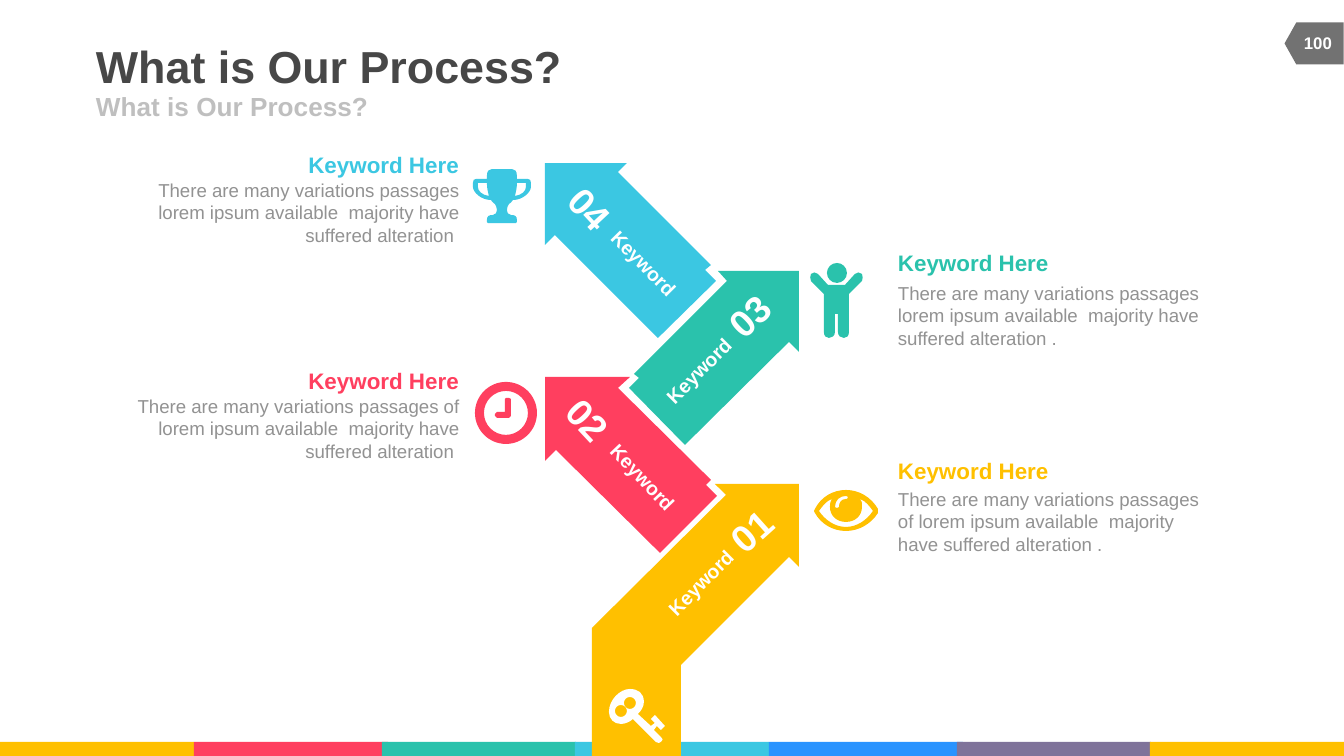
from lxml import etree
from pptx import Presentation
from pptx.dml.color import RGBColor
from pptx.enum.shapes import MSO_SHAPE
from pptx.enum.text import MSO_ANCHOR, MSO_AUTO_SIZE, PP_ALIGN
from pptx.oxml.ns import qn
from pptx.util import Pt

EMU_PER_PX = 914400 / 134.4
LEFT, CENTER, RIGHT = PP_ALIGN.LEFT, PP_ALIGN.CENTER, PP_ALIGN.RIGHT
TOP, MIDDLE, BOTTOM = MSO_ANCHOR.TOP, MSO_ANCHOR.MIDDLE, MSO_ANCHOR.BOTTOM
RECTANGLE, TAG = MSO_SHAPE.RECTANGLE, MSO_SHAPE.FLOWCHART_OFFPAGE_CONNECTOR
FIXED_SIZE = MSO_AUTO_SIZE.NONE

YELLOW, RED, GREEN, BLUE = "FFC000", "FF3F5F", "2AC2AC", "3BC7E2"
AZURE, PURPLE, WHITE, GRAY = "2993FF", "7F739A", "FFFFFF", "929292"

STRIP = [(0, YELLOW), (194, RED), (382, GREEN), (575, BLUE), (769, AZURE), (957, PURPLE), (1150, YELLOW)]

ARROWS = [
    (YELLOW, [(799, 567), (789, 557), (681, 665), (681, 756), (592, 756), (592, 628), (726, 495), (715, 484), (799, 484)]),
    (BLUE, [(618, 172), (711, 265), (705, 270), (716, 281), (658, 338), (555, 235), (545, 245), (545, 163), (627, 163)]),
    (RED, [(618, 388), (711, 480), (706, 485), (717, 496), (660, 553), (556, 450), (545, 461), (545, 377), (630, 377)]),
    (GREEN, [(799, 352), (789, 342), (685, 445), (629, 388), (639, 378), (634, 374), (727, 281), (718, 271), (799, 271)]),
]

NUMBERS = [("01", 730, 507, 318.1), ("02", 568, 396, 47), ("03", 728, 292, 316.6), ("04", 570, 185, 47)]
KEYWORDS = [(657, 359, 315), (602, 251, 45.4), (601, 465, 46.4), (659, 571, 315)]

NOTES = [
    (YELLOW, LEFT, 898, 457, 488, 316,
     "There are many variations passages of lorem ipsum available  majority have suffered alteration ."),
    (GREEN, LEFT, 898, 249, 282, 316,
     "There are many variations passages lorem ipsum available  majority have suffered alteration ."),
    (RED, RIGHT, 124, 367, 395, 335,
     "There are many variations passages of lorem ipsum available  majority have suffered alteration "),
    (BLUE, RIGHT, 150, 151, 179, 309,
     "There are many variations passages lorem ipsum available  majority have suffered alteration "),
]

KEY = [(661, 730), (657, 726), (654, 730), (661, 737), (662, 738, 665, 740, 659, 743),
       (658, 743, 657, 743, 656, 742), (633, 719), (630, 722, 625, 724, 621, 724),
       (614, 724, 609, 719, 609, 712), (609, 700, 620, 689, 630, 689),
       (638, 689, 644, 693, 644, 702), (644, 707, 641, 711, 638, 714),
       (651, 726), (655, 723), (651, 719), (655, 715), (665, 726)]
EYE_OUTLINE = [(878, 513), (871, 524, 859, 531, 846, 531), (833, 531, 821, 524, 815, 513),
               (814, 511), (815, 509), (821, 497, 833, 490, 846, 490),
               (859, 490, 871, 497, 878, 509), (878, 511)]
EYE_WHITE = [(860, 499), (862, 500, 862, 503, 862, 507), (862, 516, 855, 522, 846, 522),
             (837, 522, 830, 516, 830, 507), (830, 503, 831, 500, 832, 499),
             (826, 501, 822, 507, 819, 511), (825, 520, 835, 527, 846, 527),
             (857, 527, 867, 520, 873, 511), (870, 507, 866, 501, 860, 499)]
EYE_GLINT = [(846, 496), (840, 496, 835, 500, 835, 507), (835, 507, 836, 508, 837, 508),
             (838, 508, 839, 507, 839, 507), (839, 503, 841, 499, 846, 499),
             (847, 499, 848, 499, 848, 497), (848, 497, 847, 496, 846, 496)]
CLOCK_HANDS = [(511, 416), (509, 418), (497, 418), (495, 416), (495, 414), (497, 412),
               (505, 412), (505, 399), (506, 398), (509, 398), (511, 399)]
PERSON_HALF = [(845, 285), (855, 274), (857, 272, 860, 272, 862, 274), (863, 276, 863, 279, 862, 281),
               (849, 294), (849, 332), (849, 336, 847, 338, 844, 338),
               (841, 338, 838, 336, 838, 332), (838, 314)]
CUP_HALF = [(512, 169), (515, 169, 517, 171, 517, 176), (517, 179), (528, 179),
            (530, 179, 531, 180, 531, 183), (531, 187), (531, 192, 523, 200, 513, 200),
            (511, 203, 509, 204, 509, 204), (508, 206, 507, 207, 507, 210),
            (507, 212, 508, 215, 511, 215), (515, 215, 517, 216, 517, 220), (517, 222), (516, 223)]
CUP_HANDLE = [(517, 183), (526, 183), (526, 187), (526, 191, 522, 195, 515, 196),
              (516, 192, 517, 188, 517, 183)]


def px(value):
    """Turn pixels into EMU."""
    return round(value * EMU_PER_PX)


def color(hex_code):
    """Turn a hex string into a colour."""
    return RGBColor.from_string(hex_code)


def mirror(contour, axis_sum):
    """Reflect a contour left to right, in reverse order."""
    reflected = [(axis_sum - contour[-1][-2], contour[-1][-1])]
    for previous, step in zip(contour[-2::-1], contour[:0:-1]):
        x, y = previous[-2:]
        if len(step) == 6:
            reflected.append((axis_sum - step[2], step[3], axis_sum - step[0], step[1], axis_sum - x, y))
        else:
            reflected.append((axis_sum - x, y))
    return reflected


def symmetric(half, axis_sum):
    """Close a half contour with its reflection."""
    return half + mirror(half, axis_sum)


def circle(x, y, r):
    """Return a circle as four curve steps."""
    k = 0.55 * r
    return [(x + r, y), (x + r, y + k, x + k, y + r, x, y + r), (x - k, y + r, x - r, y + k, x - r, y),
            (x - r, y - k, x - k, y - r, x, y - r), (x + k, y - r, x + r, y - k, x + r, y)]


def paint(shape, hex_code):
    """Give a shape a plain fill without line or shadow."""
    shape.fill.solid()
    shape.fill.fore_color.rgb = color(hex_code)
    shape.line.fill.background()
    shape.shadow.inherit = False


def add_block(slide, kind, box, hex_code, rotation=0):
    """Add a filled preset shape."""
    shape = slide.shapes.add_shape(kind, *map(px, box))
    shape.rotation = rotation
    paint(shape, hex_code)


def bend(shape, contours):
    """Turn the line segments of curve steps into cubic curves."""
    steps = [step for contour in contours for step in contour[1:]]
    lines = list(shape.element.iter(qn("a:lnTo")))
    for step, line in zip(steps, lines):
        if len(step) == 6:
            curve = etree.Element(qn("a:cubicBezTo"))
            for x, y in zip(step[::2], step[1::2]):
                etree.SubElement(curve, qn("a:pt"), x=str(px(x) - shape.left), y=str(px(y) - shape.top))
            line.getparent().replace(line, curve)


def add_outline(slide, contours, hex_code):
    """Add one freeform made of closed contours."""
    builder = None
    for contour in contours:
        points = [tuple(map(px, step[-2:])) for step in contour]
        if builder is None:
            builder = slide.shapes.build_freeform(*points[0], scale=1.0)
        else:
            builder.move_to(*points[0])
        builder.add_line_segments(points[1:], close=True)
    shape = builder.convert_to_shape()
    bend(shape, contours)
    paint(shape, hex_code)


def write(shape, text, size, hex_code, bold=True, align=LEFT, anchor=TOP, wrap=False, spacing=None):
    """Fill a text holder with one formatted paragraph."""
    frame = shape.text_frame
    frame.text = text
    paragraph = frame.paragraphs[0]
    formats = [
        (frame, {"margin_left": 0, "margin_top": 0, "margin_right": 0, "margin_bottom": 0,
                 "word_wrap": wrap, "auto_size": FIXED_SIZE, "vertical_anchor": anchor}),
        (paragraph, {"alignment": align, "space_before": Pt(0), "line_spacing": spacing}),
        (paragraph.runs[0].font, {"name": "Arial", "size": Pt(size), "bold": bold}),
    ]
    for target, values in formats:
        for name, value in values.items():
            setattr(target, name, value)
    paragraph.runs[0].font.color.rgb = color(hex_code)


def add_text(slide, box, text, size, hex_code, rotation=0, **options):
    """Add a text box."""
    shape = slide.shapes.add_textbox(*map(px, box))
    shape.rotation = rotation
    write(shape, text, size, hex_code, **options)


def fill_placeholder(shape, box, text, size, hex_code):
    """Move a placeholder and write its text."""
    shape.left, shape.top, shape.width, shape.height = map(px, box)
    write(shape, text, size, hex_code, anchor=MIDDLE)


def add_note(slide, hex_code, align, left, heading_top, body_top, width, text):
    """Add a coloured heading with its description."""
    heading_left = left + width - 152 if align == RIGHT else left
    add_text(slide, (left, body_top, width, 67), text, 10, GRAY,
             bold=False, align=align, wrap=True, spacing=Pt(12))
    add_text(slide, (heading_left, heading_top, 152, 27), "Keyword Here", 12, hex_code, align=align)


def add_icons(slide):
    """Add the five icons."""
    add_outline(slide, [KEY, circle(630, 703, 6), circle(621, 711, 6)], WHITE)
    add_outline(slide, [EYE_OUTLINE, EYE_WHITE, EYE_GLINT], YELLOW)
    add_outline(slide, [circle(506, 413, 31), circle(506, 413, 22), CLOCK_HANDS], RED)
    add_outline(slide, [symmetric(PERSON_HALF, 1673), circle(837, 273, 10)], GREEN)
    add_outline(slide, [symmetric(CUP_HALF, 1004), CUP_HANDLE, mirror(CUP_HANDLE, 1004)], BLUE)


def main():
    """Build the process slide."""
    presentation = Presentation()
    presentation.slide_width, presentation.slide_height = px(1344), px(756)
    slide = presentation.slides.add_slide(presentation.slide_layouts[7])
    title, content, subtitle = slide.placeholders
    content.element.getparent().remove(content.element)
    fill_placeholder(title, (96, 40, 829, 52), "What is Our Process?", 24, "474747")
    fill_placeholder(subtitle, (96, 91, 605, 30), "What is Our Process?", 14, "BFBFBF")
    for left, hex_code in STRIP:
        add_block(slide, RECTANGLE, (left, 742, 194, 14), hex_code)
    add_block(slide, TAG, (1293, 14, 42, 59), "727272", 90)
    add_text(slide, (1290, 23, 56, 40), "100", 9, WHITE, align=CENTER, anchor=MIDDLE)
    for hex_code, contour in ARROWS:
        add_outline(slide, [contour], hex_code)
    for text, left, top, rotation in NUMBERS:
        add_text(slide, (left, top, 42, 46), text, 20, WHITE, rotation, align=CENTER, anchor=BOTTOM)
    for left, top, rotation in KEYWORDS:
        add_text(slide, (left, top, 83, 24), "Keyword", 10.5, WHITE, rotation, align=RIGHT)
    add_icons(slide)
    for note in NOTES:
        add_note(slide, *note)
    presentation.save("out.pptx")


if __name__ == "__main__":
    main()
